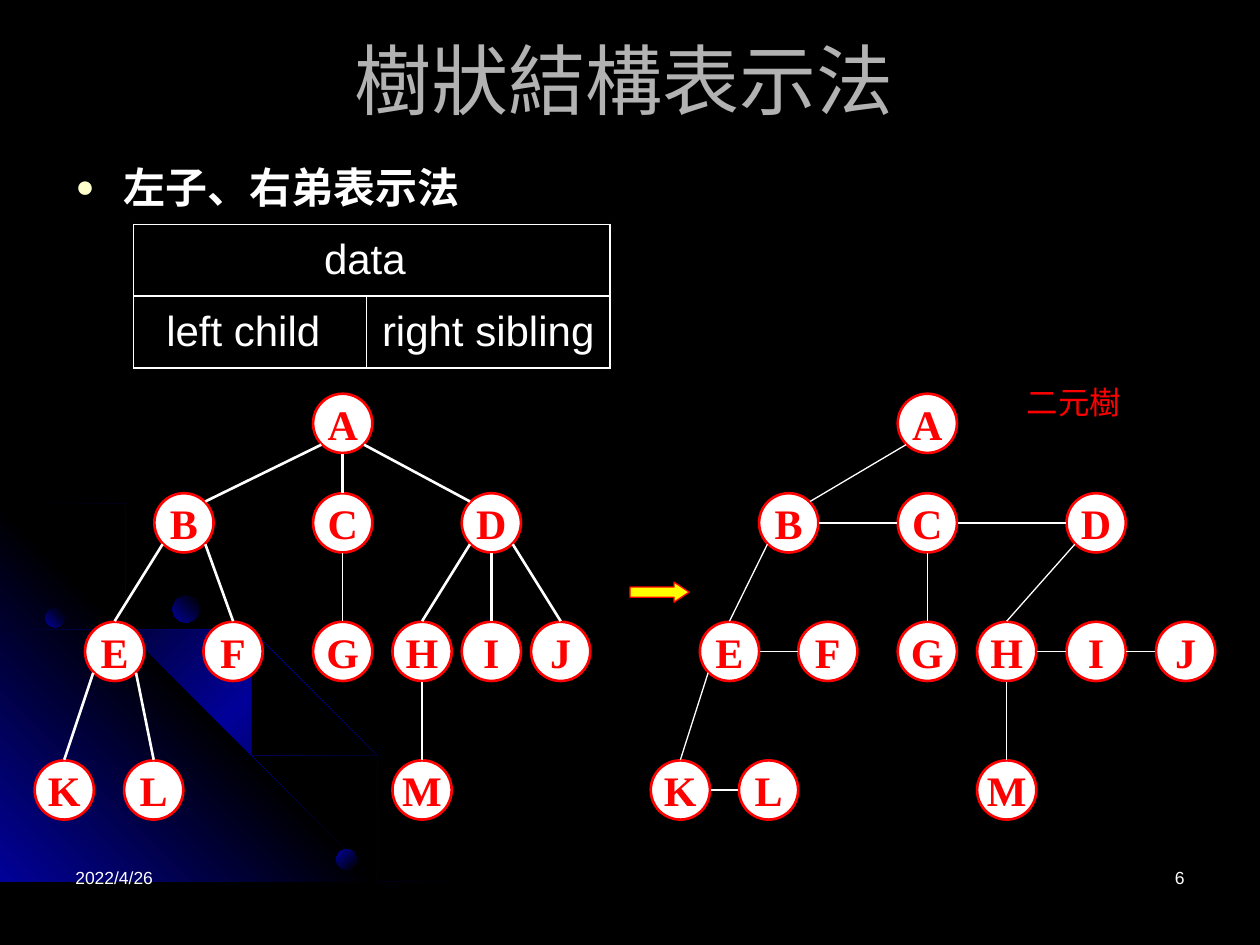
from copy import deepcopy
from math import sqrt

from lxml.etree import SubElement
from pptx import Presentation
from pptx.dml.color import RGBColor
from pptx.enum.shapes import MSO_CONNECTOR as Link, MSO_SHAPE as Shape
from pptx.enum.text import MSO_ANCHOR as Anchor, MSO_AUTO_SIZE as AutoSize, PP_ALIGN as Align
from pptx.oxml import parse_xml
from pptx.oxml.ns import nsdecls, qn
from pptx.util import Inches, Pt

WHITE, BLACK, RED, BLUE = "FFFFFF", "000000", "FF0000", "010199"
TITLE = "樹狀結構表示法"
BULLET = "左子、右弟表示法"
FIELDS = [["data", ""], ["left child", "right sibling"]]
FIELD_WIDTHS, FIELD_HEIGHT = (1.85, 1.93), 0.57

# Text, box, alignment, format, wrapping
LABELS = [
    ("2022/4/26", (0.5, 6.83, 2.33, 0.5), Align.LEFT, dict(size=10, color=WHITE), True),
    ("6", (7.17, 6.83, 2.33, 0.5), Align.RIGHT, dict(size=10, color=WHITE), True),
    ("二元樹", (8.05, 2.99, 0.95, 0.4), Align.LEFT, dict(size=18, color=RED), False),
]

NODE_SIZE = 0.47
REACH = 0.24  # from a node's centre to where its lines start
LEVEL_CENTRES = (3.36, 4.15, 5.17, 6.27)
LEVELS = ("A", "BCD", "EFGHIJ", "KLM")
LEVEL_OF = {name: level for level, names in enumerate(LEVELS) for name in names}

# Node centres from left to right, edges as parent-child or sibling pairs
GENERAL_TREE = dict(
    centres=dict(A=2.72, B=1.46, C=2.72, D=3.9, E=0.91, F=1.85, G=2.72,
                 H=3.35, I=3.9, J=4.45, K=0.51, L=1.22, M=3.35),
    edges="AC AB AD BE BF CG DH DI DJ EK EL HM".split(),
    thin="CG HM".split(),
)
BINARY_EDGES = "AB BC CD BE EF CG DH HI IJ EK KL HM".split()
BINARY_TREE = dict(
    centres=dict(A=7.36, B=6.26, C=7.36, D=8.7, E=5.79, F=6.57, G=7.36,
                 H=7.99, I=8.7, J=9.41, K=5.4, L=6.1, M=7.99),
    edges=BINARY_EDGES,
    thin=BINARY_EDGES,
)

ARC_STOPS = [(0, BLACK), (0.5, BLUE), (1, BLACK)]
CORNER_STOPS = [(0, BLUE), (0.5, BLACK), (1, BLUE)]
OUTER_ARC = [
    (0.57, 4.47), (0.28, 4.41), (0, 4.35), (0, 4.38), (0.28, 4.43), (0.56, 4.49),
    (0.97, 4.61), (1.35, 4.78), (1.73, 4.99), (2.08, 5.23), (2.41, 5.49), (2.71, 5.79),
    (2.98, 6.12), (3.23, 6.49), (3.37, 6.73), (3.5, 6.98), (3.6, 7.23), (3.7, 7.49),
    (3.72, 7.49), (3.62, 7.23), (3.52, 6.98), (3.39, 6.73), (3.25, 6.48), (3, 6.11),
    (2.72, 5.78), (2.42, 5.48), (2.09, 5.21), (1.74, 4.97), (1.36, 4.77), (0.98, 4.59)]
INNER_ARC = [
    (2.85, 7.14), (2.94, 7.32), (3.01, 7.49), (3.03, 7.49), (2.96, 7.3), (2.86, 7.12),
    (2.66, 6.76), (2.42, 6.4), (2.15, 6.06), (1.84, 5.76), (1.52, 5.49), (1.17, 5.26),
    (0.79, 5.05), (0.41, 4.88), (0, 4.75), (0, 4.77), (0.39, 4.9), (0.77, 5.07),
    (1.15, 5.28), (1.5, 5.51), (1.83, 5.78), (2.13, 6.08), (2.4, 6.41), (2.65, 6.77)]
MIDDLE_ARC = [
    (0, 4.42), (0, 4.44), (0.36, 4.57), (0.74, 4.75), (1.09, 4.94), (1.42, 5.18),
    (1.73, 5.44), (2.02, 5.75), (2.27, 6.05), (2.52, 6.41), (2.67, 6.67), (2.8, 6.94),
    (2.92, 7.22), (3.01, 7.49), (3.03, 7.49), (2.94, 7.2), (2.82, 6.93), (2.69, 6.65),
    (2.54, 6.39), (2.29, 6.03), (2.04, 5.73), (1.75, 5.43), (1.44, 5.16), (1.11, 4.93),
    (0.76, 4.73), (0.39, 4.55)]
CORNER = [(3.22, 7.49), (0, 7.49), (0, 4.27)]
BACKDROP = [(OUTER_ARC, ARC_STOPS, 45), (CORNER, CORNER_STOPS, 315),
            (INNER_ARC, ARC_STOPS, 45), (MIDDLE_ARC, ARC_STOPS, 45)]
# Left, top, diameter, gradient angle
PLANETS = [(0.36, 4.83, 0.15, 315), (2.67, 6.74, 0.16, 45), (1.37, 4.73, 0.21, 315)]


def rgb(code):
    return RGBColor.from_string(code)


def inches(values):
    return [Inches(value) for value in values]


def set_font(font, size, color, name="Arial", bold=False):
    for key, value in dict(size=Pt(size), name=name, bold=bold).items():
        setattr(font, key, value)
    font.color.rgb = rgb(color)


def set_text(frame, text, align, **font):
    para = frame.paragraphs[0]
    para.alignment, para.space_before = align, Pt(0)
    span = para.add_run()
    span.text = text
    set_font(span.font, **font)
    return para


def place(box, at):
    box.left, box.top, box.width, box.height = inches(at)


def set_gradient(shape, stops, angle):
    """Fill with evenly listed stops; the angle runs clockwise."""
    shape.shadow.inherit = False
    shape.line.fill.background()
    shape.fill.gradient()
    shape.fill.gradient_angle = 360 - angle
    stop_list = shape._element.spPr.find(".//" + qn("a:gsLst"))
    while len(stop_list) < len(stops):
        stop_list.append(deepcopy(stop_list[0]))
    for stop, (position, color) in zip(shape.fill.gradient_stops, stops):
        stop.position, stop.color.rgb = position, rgb(color)


def add_backdrop(slide):
    slide.background.fill.solid()
    slide.background.fill.fore_color.rgb = rgb(BLACK)
    for points, stops, angle in BACKDROP:
        outline = slide.shapes.build_freeform(*points[0], scale=float(Inches(1)))
        outline.add_line_segments(points[1:], close=True)
        set_gradient(outline.convert_to_shape(), stops, angle)
    for left, top, size, angle in PLANETS:
        planet = slide.shapes.add_shape(Shape.OVAL, *inches((left, top, size, size)))
        set_gradient(planet, [(0, BLUE), (1, BLACK)], angle)


def add_placeholders(slide):
    title, body = slide.shapes.title, slide.placeholders[1]
    place(title, (0.27, 0.21, 9.37, 0.83))
    place(body, (0.5, 1.23, 9, 5.47))
    for box in (title, body):
        box.text_frame.auto_size = AutoSize.NONE
    set_text(title.text_frame, TITLE, Align.CENTER, size=44, color="B2B2B2")
    para = set_text(body.text_frame, BULLET, Align.LEFT, size=24, color=WHITE, bold=True)
    settings = para._p.get_or_add_pPr()
    settings.set("marL", str(Inches(0.38)))
    settings.set("indent", str(-Inches(0.38)))
    SubElement(SubElement(settings, qn("a:buClr")), qn("a:srgbClr"), val="FFFFCC")
    SubElement(settings, qn("a:buSzPct"), val="75000")
    SubElement(settings, qn("a:buChar"), char="●")


def add_field_table(slide):
    at = inches((1.06, 1.78, sum(FIELD_WIDTHS), FIELD_HEIGHT * len(FIELDS)))
    table = slide.shapes.add_table(len(FIELDS), len(FIELD_WIDTHS), *at).table
    table.first_row = table.horz_banding = False
    for column, width in zip(table.columns, FIELD_WIDTHS):
        column.width = Inches(width)
    for row, names in zip(table.rows, FIELDS):
        row.height = Inches(FIELD_HEIGHT)
        for cell, name in zip(row.cells, names):
            cell.fill.background()
            for index, side in enumerate("LRTB"):
                cell._tc.get_or_add_tcPr().insert(index, parse_xml(
                    f'<a:ln{side} {nsdecls("a")} w="{Pt(1)}"><a:solidFill>'
                    f'<a:srgbClr val="{WHITE}"/></a:solidFill></a:ln{side}>'))
            if name:
                set_text(cell.text_frame, name, Align.CENTER, size=24, color=WHITE)
                set_text(cell.text_frame, " ", Align.CENTER, size=28, color=WHITE)
    table.cell(0, 0).merge(table.cell(0, 1))


def add_outlined(slide, kind, at, fill, width):
    shape = slide.shapes.add_shape(kind, *inches(at))
    shape.shadow.inherit = False
    shape.fill.solid()
    shape.fill.fore_color.rgb = rgb(fill)
    shape.line.color.rgb, shape.line.width = rgb(RED), Pt(width)
    return shape


def edge_ends(start, end):
    """Siblings join side to side; children hang from the underside of a parent."""
    (x1, y1), (x2, y2) = start, end
    if y1 == y2:
        return x1 + REACH, y1, x2 - REACH, y2
    side, diagonal = (x2 > x1) - (x2 < x1), REACH / sqrt(2)
    drop = diagonal if side else REACH
    if abs(x2 - x1) > y2 - y1:
        return x1 + side * diagonal, y1 + drop, x2 - side * diagonal, y2 - diagonal
    return x1 + side * diagonal, y1 + drop, x2, y2 - REACH


def add_tree(slide, centres, edges, thin):
    spots = {name: (x, LEVEL_CENTRES[LEVEL_OF[name]]) for name, x in centres.items()}
    for name, (x, y) in spots.items():
        at = (x - NODE_SIZE / 2, y - NODE_SIZE / 2, NODE_SIZE, NODE_SIZE)
        node = add_outlined(slide, Shape.FLOWCHART_CONNECTOR, at, WHITE, 1.5)
        node.text_frame.word_wrap = False
        node.text_frame.vertical_anchor = Anchor.MIDDLE
        set_text(node.text_frame, name, Align.CENTER, size=24, color=RED,
                 name="Times New Roman", bold=True)
    for edge in edges:
        ends = edge_ends(*(spots[name] for name in edge))
        line = slide.shapes.add_connector(Link.STRAIGHT, *inches(ends))
        line.line.color.rgb = rgb(WHITE)
        line.line.width = Pt(0.75 if edge in thin else 1.5)
        SubElement(line._element.spPr, qn("a:effectLst"))


def main():
    deck = Presentation()
    deck.slide_width, deck.slide_height = inches((10, 7.5))
    slide = deck.slides.add_slide(deck.slide_layouts[1])
    add_backdrop(slide)
    add_placeholders(slide)
    add_field_table(slide)
    add_tree(slide, **GENERAL_TREE)
    arrow = add_outlined(slide, Shape.RIGHT_ARROW, (5, 4.62, 0.47, 0.16), "FFFF00", 0.75)
    arrow.adjustments[1] = 0.75
    add_tree(slide, **BINARY_TREE)
    for text, at, align, font, wrap in LABELS:
        box = slide.shapes.add_textbox(*inches(at))
        box.text_frame.word_wrap = wrap
        set_text(box.text_frame, text, align, **font)
    deck.save("out.pptx")


if __name__ == "__main__":
    main()
